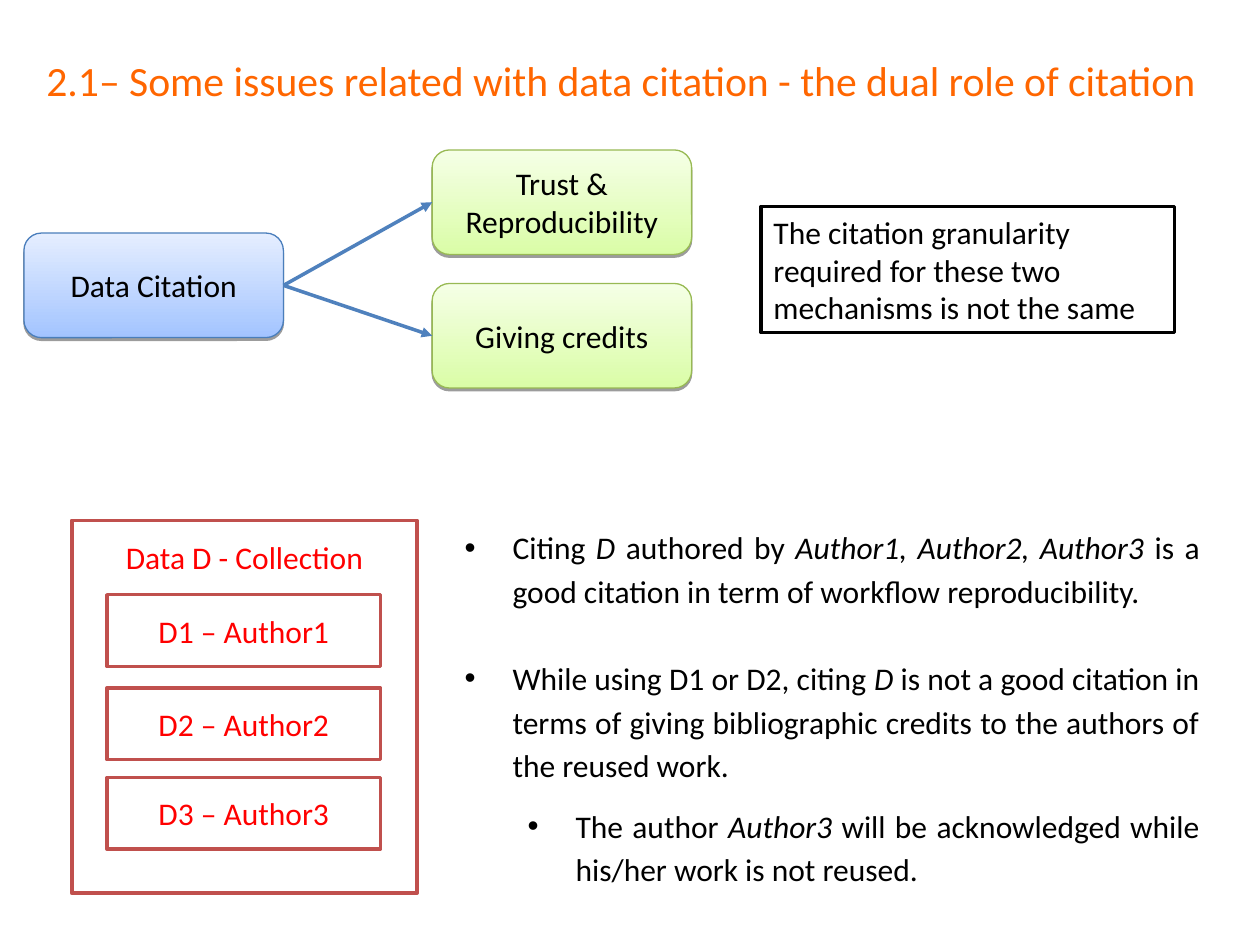
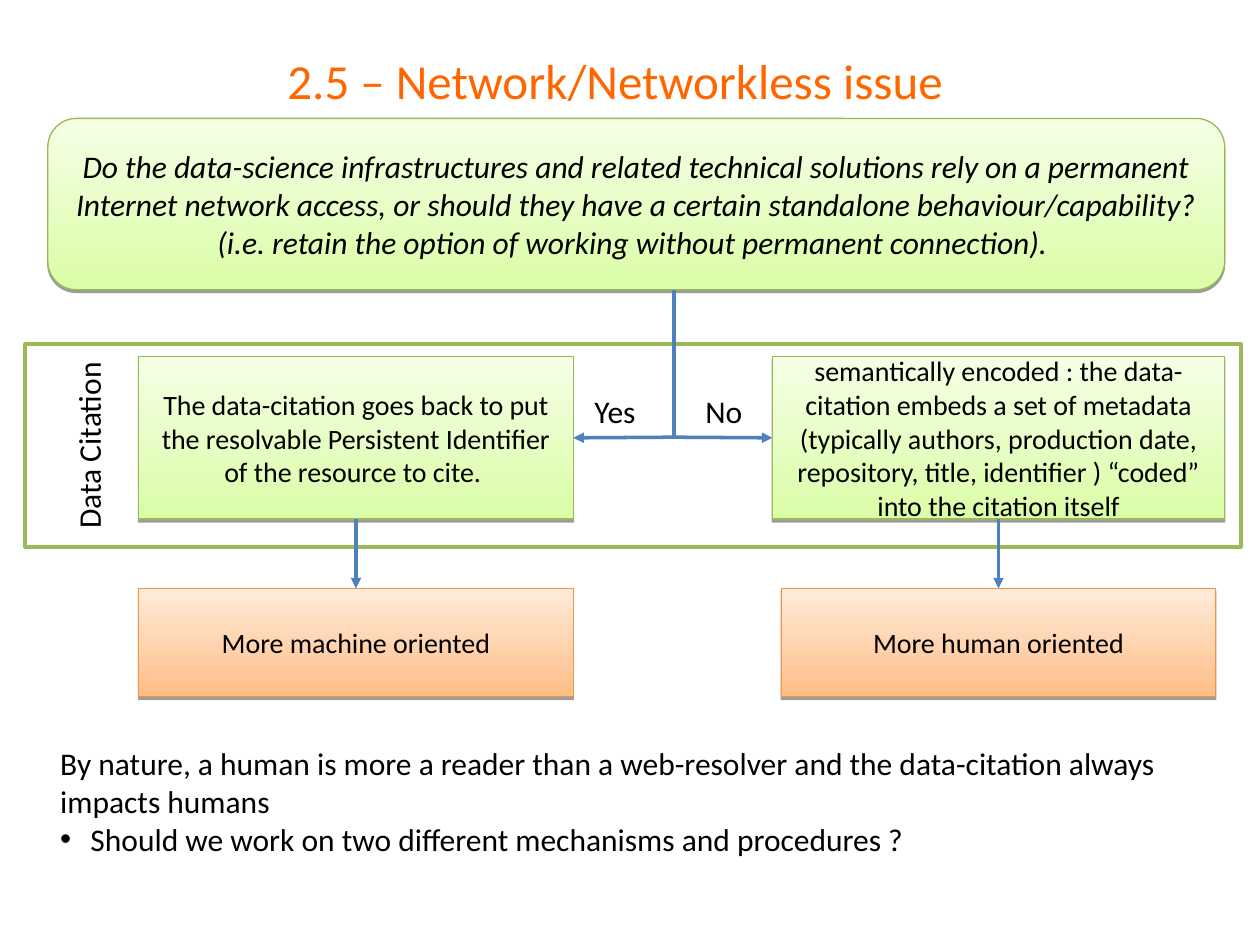
"""Build two slides on data citation: its dual role and the network issue."""
from dataclasses import dataclass
from typing import Optional

import pptx
import pptx.dml.color
import pptx.enum.shapes
import pptx.enum.text
import pptx.oxml
import pptx.oxml.ns
import pptx.util
from pptx.dml.color import RGBColor
from pptx.enum.shapes import MSO_CONNECTOR, MSO_SHAPE
from pptx.enum.text import MSO_ANCHOR, PP_ALIGN
from pptx.util import Inches

FONT = "Calibri"
BLACK = RGBColor(0x00, 0x00, 0x00)
WHITE = RGBColor(0xFF, 0xFF, 0xFF)
ORANGE = RGBColor(0xFF, 0x66, 0x00)
RED = RGBColor(0xFF, 0x00, 0x00)
BRICK = RGBColor(0xC0, 0x50, 0x4D)
OLIVE = RGBColor(0x9B, 0xBB, 0x59)
ARROW_BLUE = RGBColor(0x4F, 0x81, 0xBD)
TOP, LEFT, BOTTOM, RIGHT = range(4)


@dataclass(frozen=True)
class Style:
    """Fill from bottom to top, and outline, of a box."""
    bottom: RGBColor
    top: RGBColor
    line: RGBColor
    width: float = 0.75

    @property
    def is_gradient(self) -> bool:
        """Tell whether the two fill colours differ."""
        return self.bottom != self.top


BLUE_CARD = Style(RGBColor(0xA3, 0xC4, 0xFF), RGBColor(0xE5, 0xEE, 0xFF), RGBColor(0x4A, 0x7E, 0xBB))
GREEN_CARD = Style(RGBColor(0xDA, 0xFD, 0xA7), RGBColor(0xF5, 0xFF, 0xE6), RGBColor(0x98, 0xB9, 0x54))
ORANGE_CARD = Style(RGBColor(0xFF, 0xBE, 0x86), RGBColor(0xFF, 0xEB, 0xDB), RGBColor(0xF6, 0x92, 0x40))
BLACK_FRAME = Style(WHITE, WHITE, BLACK, 2)
BRICK_FRAME = Style(WHITE, WHITE, BRICK, 2)
OLIVE_FRAME = Style(WHITE, WHITE, OLIVE, 2)


@dataclass(frozen=True)
class Box:
    """A filled shape with its text."""
    x: float
    y: float
    w: float
    h: float
    text: str
    style: Style
    rounded: bool = False
    size: float = 18
    color: RGBColor = BLACK
    italic: bool = False
    align: PP_ALIGN = PP_ALIGN.CENTER
    anchor: MSO_ANCHOR = MSO_ANCHOR.MIDDLE
    top_inset: float = 0.05
    rotation: float = 0


@dataclass(frozen=True)
class Para:
    """A paragraph; parts between asterisks are italic."""
    text: str
    margin: float = 0
    hanging: float = 0
    level: int = 0
    spacing: float = 1
    after: float = 0
    align: PP_ALIGN = PP_ALIGN.LEFT


def format_run(r, size: float, color: RGBColor, italic: bool = False) -> None:
    """Set the font of a run."""
    r.font.name = FONT
    r.font.size = pptx.util.Pt(size)
    r.font.color.rgb = color
    r.font.italic = italic


def add_box(s, box: Box):
    """Draw a box and return its shape."""
    kind = MSO_SHAPE.ROUNDED_RECTANGLE if box.rounded else MSO_SHAPE.RECTANGLE
    sp = s.shapes.add_shape(kind, Inches(box.x), Inches(box.y), Inches(box.w), Inches(box.h))
    sp.rotation = box.rotation
    sp.line.color.rgb = box.style.line
    sp.line.width = pptx.util.Pt(box.style.width)
    sp.shadow.inherit = False
    if box.style.is_gradient:
        sp.fill.gradient()
        sp.fill.gradient_angle = 90
        for stop, color in zip(sp.fill.gradient_stops, (box.style.bottom, box.style.top)):
            stop.color.rgb = color
        add_shadow(sp)
    else:
        sp.fill.solid()
        sp.fill.fore_color.rgb = box.style.bottom
    tf = sp.text_frame
    tf.word_wrap = True
    tf.vertical_anchor = box.anchor
    tf.margin_top = Inches(box.top_inset)
    tf.text = box.text
    p = tf.paragraphs[0]
    p.alignment = box.align
    format_run(p.runs[0], box.size, box.color, box.italic)
    return sp


def add_shadow(sp) -> None:
    """Give a shape a crisp shadow just below it."""
    effects = sp.element.spPr.find(pptx.oxml.ns.qn("a:effectLst"))
    effects.append(pptx.oxml.parse_xml(
        f'<a:outerShdw {pptx.oxml.ns.nsdecls("a")} blurRad="0" dist="20000" dir="5400000" '
        'rotWithShape="0"><a:srgbClr val="000000"><a:alpha val="38000"/></a:srgbClr></a:outerShdw>'))


def add_line(s, start: tuple[float, float], end: tuple[float, float], arrow: bool = True):
    """Draw a straight connector, by default with an arrowhead."""
    c = s.shapes.add_connector(MSO_CONNECTOR.STRAIGHT, *map(Inches, start + end))
    c.line.color.rgb = ARROW_BLUE
    c.line.width = pptx.util.Pt(2)
    ns = pptx.oxml.ns.nsdecls("a")
    spPr = c.element.spPr
    if arrow:
        ln = spPr.find(pptx.oxml.ns.qn("a:ln"))
        ln.append(pptx.oxml.parse_xml(f'<a:tailEnd {ns} type="triangle"/>'))
    spPr.append(pptx.oxml.parse_xml(f"<a:effectLst {ns}/>"))
    return c


def join(s, source, source_side: int, target, target_side: int) -> None:
    """Draw an arrow between the sides of two shapes."""
    c = add_line(s, (0, 0), (1, 1))
    c.begin_connect(source, source_side)
    c.end_connect(target, target_side)


def add_bullet(p, para: Para) -> None:
    """Indent a paragraph and give it a round bullet."""
    pPr = p._p.get_or_add_pPr()
    pPr.set("marL", str(Inches(para.margin)))
    pPr.set("indent", str(-Inches(para.hanging)))
    ns = pptx.oxml.ns.nsdecls("a")
    for xml in (f'<a:buClr {ns}><a:srgbClr val="{BLACK}"/></a:buClr>',
                f'<a:buFont {ns} typeface="Arial"/>', f'<a:buChar {ns} char="•"/>'):
        pPr.append(pptx.oxml.parse_xml(xml))


def add_text(s, x: float, y: float, w: float, h: float, paras: list[Para], size: float = 18,
             color: RGBColor = BLACK, wrap: bool = True, anchor: Optional[MSO_ANCHOR] = None) -> None:
    """Draw a text box made of paragraphs."""
    tf = s.shapes.add_textbox(Inches(x), Inches(y), Inches(w), Inches(h)).text_frame
    tf.word_wrap = wrap
    tf.vertical_anchor = anchor
    for i, para in enumerate(paras):
        p = tf.add_paragraph() if i else tf.paragraphs[0]
        p.level = para.level
        p.alignment = para.align
        p.line_spacing = para.spacing
        p.space_after = pptx.util.Pt(para.after)
        if para.hanging:
            add_bullet(p, para)
        for j, part in enumerate(para.text.split("*")):
            r = p.add_run()
            r.text = part
            format_run(r, size, color, italic=j % 2 == 1)


def add_slide(prs, title: str, size: float):
    """Add a blank slide with the shared title."""
    s = prs.slides.add_slide(prs.slide_layouts[6])
    add_text(s, 0, 0.19, 9.85, 0.88, [Para(title, align=PP_ALIGN.CENTER)],
             size, ORANGE, anchor=MSO_ANCHOR.MIDDLE)
    return s


def build_dual_role(prs) -> None:
    """Build the slide on the dual role of citation."""
    s = add_slide(prs, "2.1– Some issues related with data citation - the dual role of citation", 23.8)
    citation = add_box(s, Box(0.19, 1.85, 2.06, 0.83, "Data Citation", BLUE_CARD, rounded=True))
    for y, role in ((1.19, "Trust & Reproducibility"), (2.25, "Giving credits")):
        card = add_box(s, Box(3.43, y, 2.06, 0.83, role, GREEN_CARD, rounded=True))
        join(s, citation, RIGHT, card, LEFT)
    add_box(s, Box(6.04, 1.64, 3.28, 1,
                   "The citation granularity required for these two mechanisms is not the same",
                   BLACK_FRAME, align=PP_ALIGN.LEFT, anchor=MSO_ANCHOR.TOP))

    add_box(s, Box(0.57, 4.13, 2.74, 2.96, "Data D - Collection", BRICK_FRAME, color=RED,
                   anchor=MSO_ANCHOR.TOP, top_inset=0.14))
    for n, y in enumerate((4.72, 5.46, 6.17), start=1):
        add_box(s, Box(0.85, y, 2.17, 0.57, f"D{n} – Author{n}", BRICK_FRAME, color=RED))

    bullet = {"hanging": 0.38, "spacing": 1.15, "align": PP_ALIGN.JUSTIFY}
    add_text(s, 3.59, 4.1, 6.03, 3, [
        Para("Citing *D* authored by *Author1, Author2, Author3* is a good citation in term of "
             "workflow reproducibility. ", 0.38, after=25, **bullet),
        Para("While using D1 or D2, citing *D* is not a good citation in terms of giving "
             "bibliographic credits to the authors of the reused work. ", 0.38, after=10, **bullet),
        Para("The author *Author3* will be acknowledged while his/her work is not reused. ",
             0.88, level=1, after=10, **bullet),
    ])


def build_network_issue(prs) -> None:
    """Build the slide on working with or without a network."""
    s = add_slide(prs, "2.5 – Network/Networkless issue ", 28)
    add_box(s, Box(0.38, 0.94, 9.34, 1.36,
                   "Do the data-science infrastructures and related technical solutions rely on a "
                   "permanent Internet network access, or should they have a certain standalone "
                   "behaviour/capability? (i.e. retain the option of working without permanent "
                   "connection). ", GREEN_CARD, rounded=True, italic=True))
    add_box(s, Box(4.22, -1.29, 1.61, 9.65, "Data Citation", OLIVE_FRAME,
                   anchor=MSO_ANCHOR.TOP, top_inset=0.35, rotation=270))

    fork = (5.35, 3.47)
    add_line(s, (fork[0], 2.3), fork, arrow=False)
    answers = (
        (Box(1.1, 2.83, 3.45, 1.29,
             "The data-citation goes back to put the resolvable Persistent Identifier of the "
             "resource to cite. ", GREEN_CARD, size=16), RIGHT, 1.1, "More machine oriented"),
        (Box(6.13, 2.83, 3.59, 1.29,
             "semantically encoded : the data-citation embeds a set of metadata (typically "
             "authors, production date, repository, title, identifier ) “coded” into the "
             "citation itself", GREEN_CARD, size=16), LEFT, 6.2, "More human oriented"),
    )
    for box, side, x, outcome in answers:
        answer = add_box(s, box)
        add_line(s, fork, (box.x, fork[1])).end_connect(answer, side)
        result = add_box(s, Box(x, 4.67, 3.45, 0.86, outcome, ORANGE_CARD, size=16))
        join(s, answer, BOTTOM, result, TOP)
    for x, w, label in ((4.62, 0.54, "Yes"), (5.5, 0.49, "No")):
        add_text(s, x, 3.06, w, 0.4, [Para(label)], wrap=False)

    add_text(s, 0.38, 5.86, 9.34, 1, [
        Para("By nature, a human is more a reader than a web-resolver and the data-citation "
             "always impacts humans"),
        Para("Should we work on two different mechanisms and procedures ?", 0.24, 0.24),
    ])


def main() -> None:
    """Build and save the slides."""
    prs = pptx.Presentation()
    prs.slide_width, prs.slide_height = Inches(10), Inches(7.5)
    build_dual_role(prs)
    build_network_issue(prs)
    prs.save("out.pptx")


if __name__ == "__main__":
    main()
